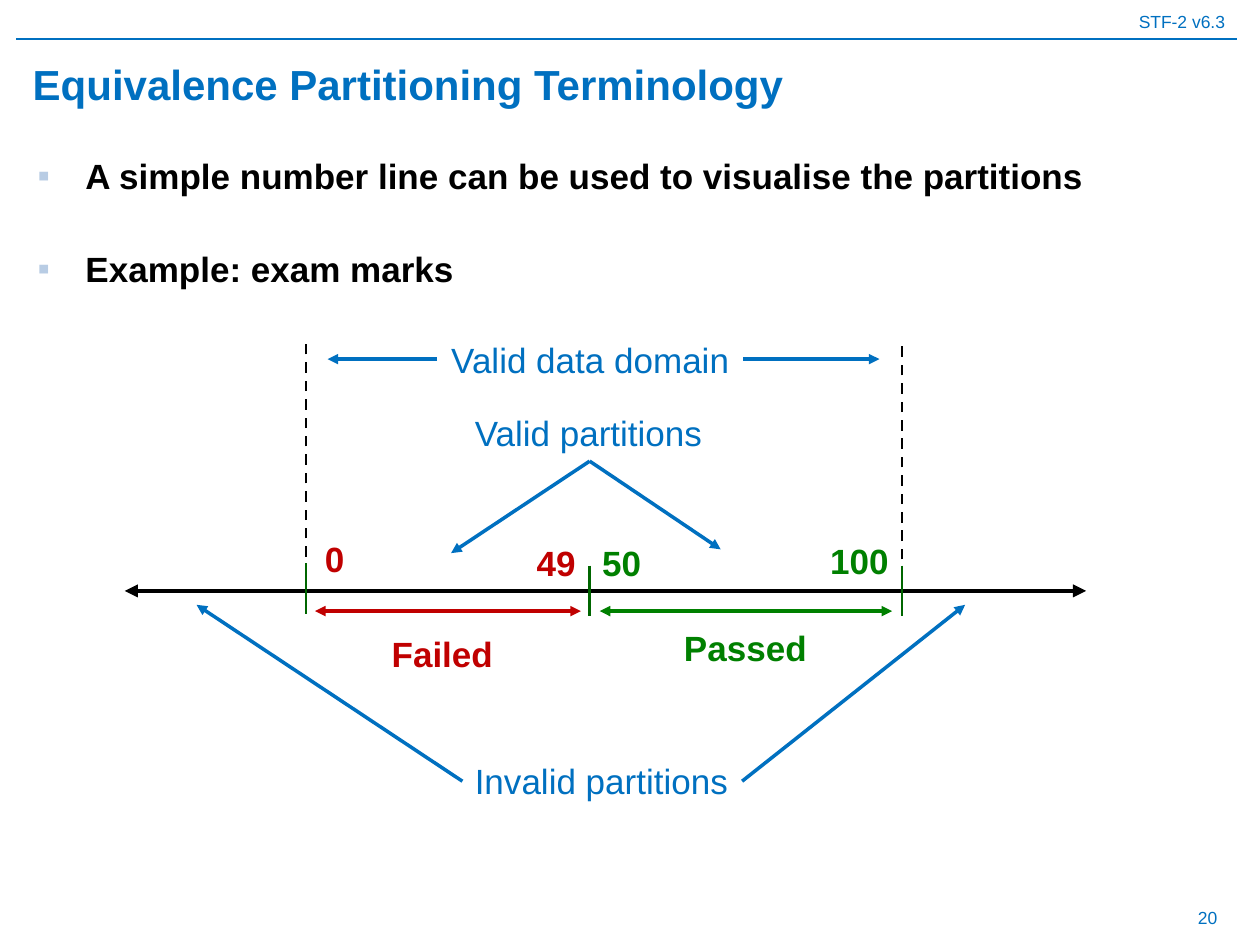
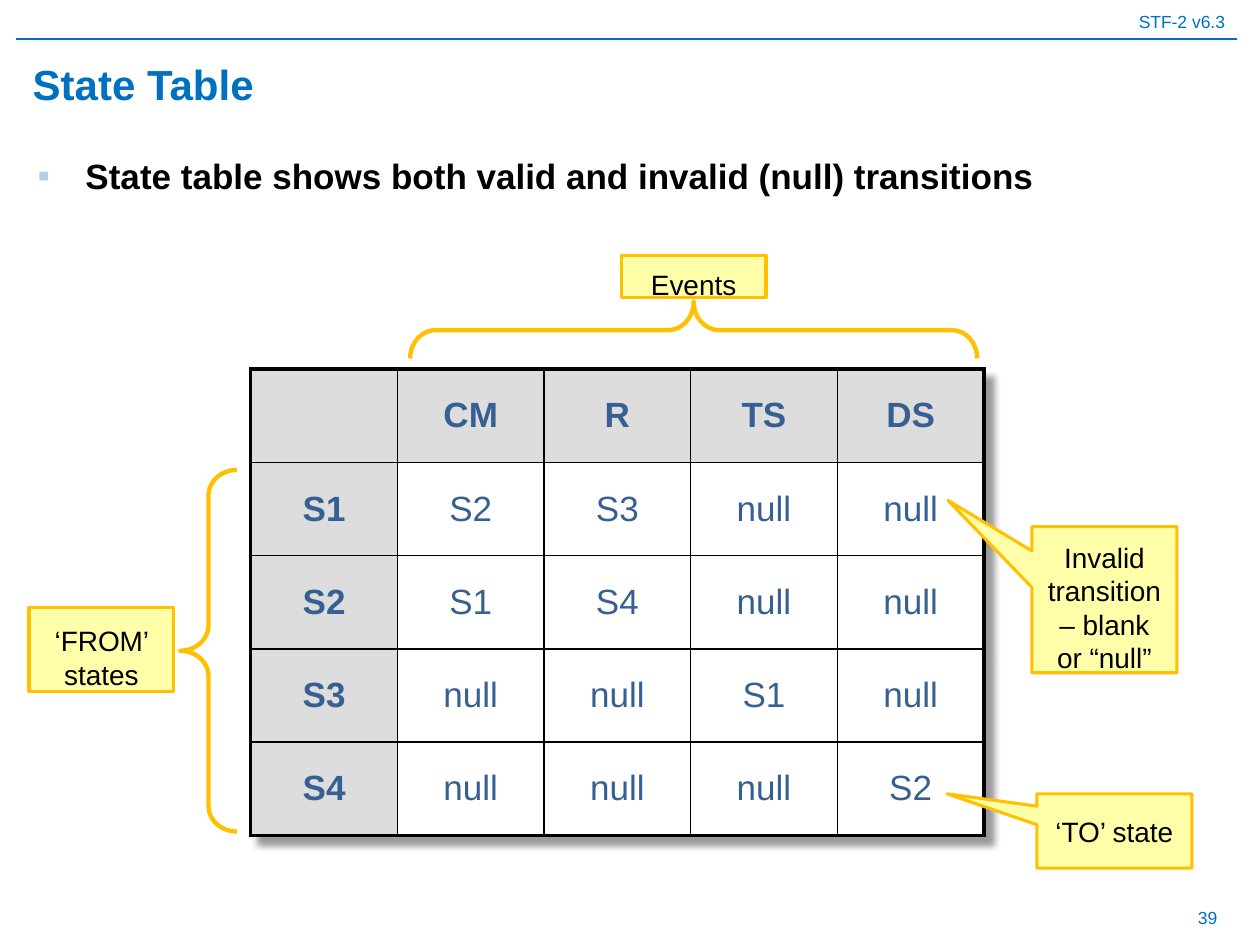
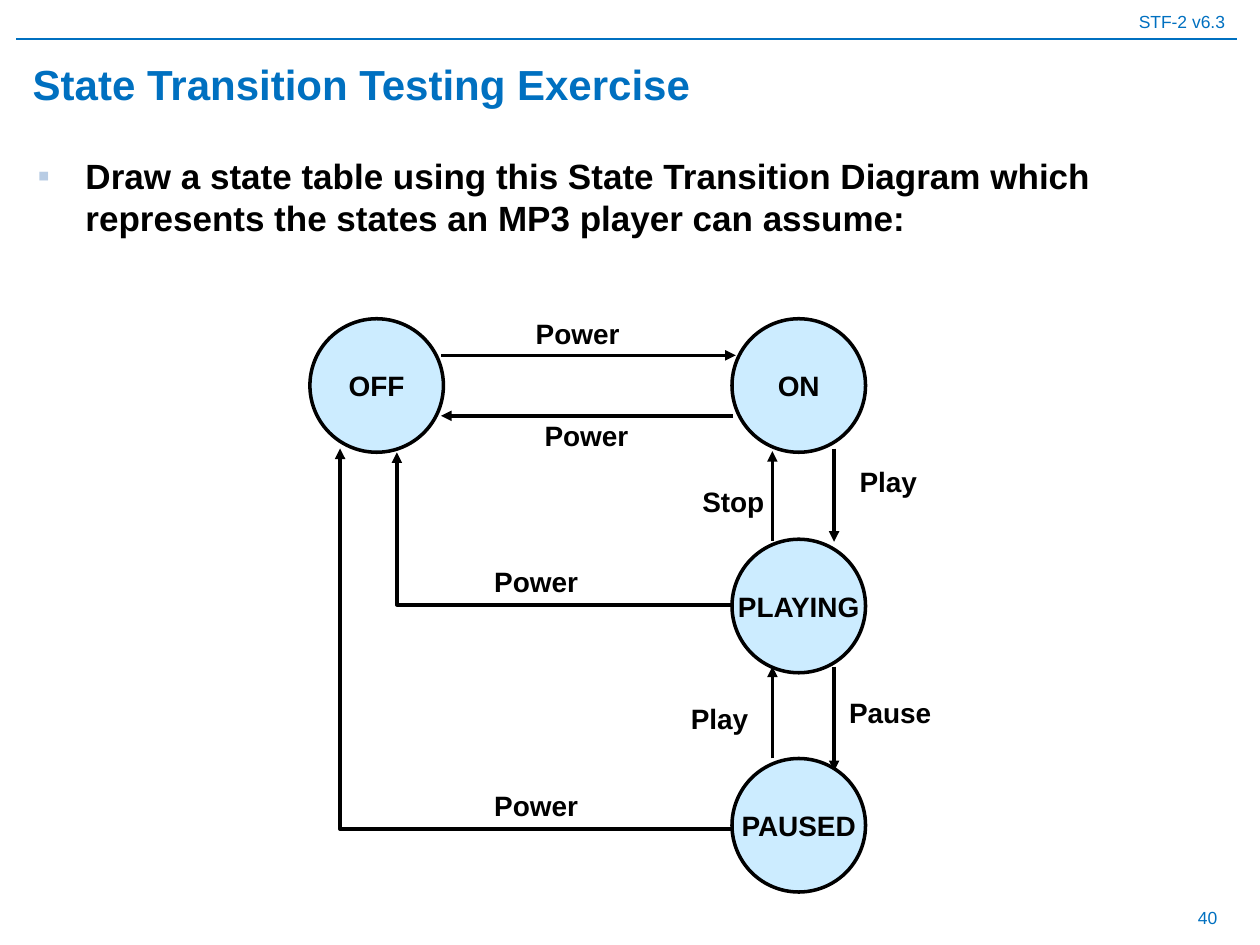
from lxml.etree import SubElement
from pptx import Presentation
from pptx.dml.color import RGBColor
from pptx.enum.dml import MSO_LINE
from pptx.enum.shapes import MSO_CONNECTOR, MSO_SHAPE
from pptx.enum.text import MSO_ANCHOR, PP_ALIGN
from pptx.oxml import parse_xml
from pptx.oxml.ns import nsdecls, qn
from pptx.util import Emu, Inches, Pt

FONT = "Arial"
BLUE = RGBColor(0x00, 0x70, 0xC0)
BLACK = RGBColor(0x00, 0x00, 0x00)
WHITE = RGBColor(0xFF, 0xFF, 0xFF)
RED = RGBColor(0xC0, 0x00, 0x00)
GREEN = RGBColor(0x00, 0x80, 0x00)
DARK_GREEN = RGBColor(0x00, 0x66, 0x00)
AMBER = RGBColor(0xFF, 0xC0, 0x00)
PALE_YELLOW = RGBColor(0xFF, 0xFF, 0xAA)
PALE_BLUE = RGBColor(0xCC, 0xEC, 0xFF)
GREY = RGBColor(0xDD, 0xDD, 0xDD)
TABLE_TEXT = RGBColor(0x37, 0x60, 0x92)
BULLET = "B8CCE4"
NO_STYLE = "{2D5ABB26-0587-4C30-8999-92F81FD0307C}"
STATE_SIZE = 1.06

STATE_TABLE = [
    ["", "CM", "R", "TS", "DS"],
    ["S1", "S2", "S3", "null", "null"],
    ["S2", "S1", "S4", "null", "null"],
    ["S3", "null", "null", "S1", "null"],
    ["S4", "null", "null", "null", "S2"],
]


def add_run(p, text, size, color, bold=False):
    """Add one formatted run to a paragraph."""
    r = p.add_run()
    r.text = text
    r.font.name = FONT
    r.font.size = Pt(size)
    r.font.bold = bold
    r.font.color.rgb = color


def add_label(s, text, left, top, width, height=0.44, size=20, color=BLUE,
              bold=False, align=PP_ALIGN.LEFT, anchor=MSO_ANCHOR.TOP, wrap=False):
    """Add a one-line text box."""
    tb = s.shapes.add_textbox(Inches(left), Inches(top), Inches(width), Inches(height))
    tf = tb.text_frame
    tf.word_wrap = wrap
    tf.vertical_anchor = anchor
    p = tf.paragraphs[0]
    p.alignment = align
    add_run(p, text, size, color, bold)


def add_line(s, start, end, color=BLACK, width=2, head=False, tail=False,
             dashed=False, elbow=False):
    """Add a straight or elbow connector with optional arrowheads."""
    kind = MSO_CONNECTOR.ELBOW if elbow else MSO_CONNECTOR.STRAIGHT
    c = s.shapes.add_connector(kind, *(Inches(v) for v in (*start, *end)))
    c.line.color.rgb = color
    c.line.width = Pt(width)
    if dashed:
        c.line.dash_style = MSO_LINE.DASH
    spPr = c.element.spPr
    ln = spPr.find(qn("a:ln"))
    for tag, wanted in (("a:headEnd", head), ("a:tailEnd", tail)):
        if wanted:
            SubElement(ln, qn(tag), type="triangle")
    SubElement(spPr, qn("a:effectLst"))
    if elbow:
        geom = spPr.find(qn("a:prstGeom"))
        av = geom.find(qn("a:avLst"))
        if av is None:
            av = SubElement(geom, qn("a:avLst"))
        SubElement(av, qn("a:gd"), name="adj1", fmla="val 100000")


def add_box(s, kind, left, top, width, height, line, weight, fill=None, adj=()):
    """Add a preset shape with its outline, fill and adjustments."""
    sp = s.shapes.add_shape(kind, Inches(left), Inches(top), Inches(width), Inches(height))
    sp.shadow.inherit = False
    if fill is None:
        sp.fill.background()
    else:
        sp.fill.solid()
        sp.fill.fore_color.rgb = fill
    sp.line.color.rgb = line
    sp.line.width = Pt(weight)
    for i, value in enumerate(adj):
        sp.adjustments[i] = value
    return sp


def set_centred_text(sp, text, bold=False, wrap=True):
    """Write centred black text in a shape."""
    tf = sp.text_frame
    tf.word_wrap = wrap
    tf.vertical_anchor = MSO_ANCHOR.MIDDLE
    p = tf.paragraphs[0]
    p.alignment = PP_ALIGN.CENTER
    add_run(p, text, 16, BLACK, bold)


def add_note(s, text, left, top, width, height, pointer=None, lowered=True):
    """Add a yellow note, as a callout when it has a pointer."""
    kind = MSO_SHAPE.RECTANGULAR_CALLOUT if pointer else MSO_SHAPE.RECTANGLE
    sp = add_box(s, kind, left, top, width, height, AMBER, 1.75, PALE_YELLOW, pointer or ())
    if lowered:
        sp.text_frame.margin_top = Inches(0.12)
        sp.text_frame.margin_bottom = 0
    set_centred_text(sp, text)


def add_brace(s, left, top, width, height, rotation=0):
    """Add an amber brace."""
    sp = add_box(s, MSO_SHAPE.LEFT_BRACE, left, top, width, height, AMBER, 2.5,
                 adj=(0.45, 0.5))
    sp.rotation = rotation


def add_bullets(s, items):
    """Add the bold bulleted body text."""
    tb = s.shapes.add_textbox(Inches(0.2), Inches(1.18), Inches(9.65), Inches(5.91))
    tf = tb.text_frame
    tf.word_wrap = True
    for i, text in enumerate(items):
        p = tf.add_paragraph() if i else tf.paragraphs[0]
        p.space_before = Pt(29 if i else 0)
        pPr = p._p.get_or_add_pPr()
        pPr.set("marL", str(Inches(0.38)))
        pPr.set("indent", str(-Inches(0.38)))
        color = SubElement(pPr, qn("a:buClr"))
        SubElement(color, qn("a:srgbClr"), val=BULLET)
        SubElement(pPr, qn("a:buFont"), typeface=FONT)
        SubElement(pPr, qn("a:buChar"), char="▪")
        add_run(p, text, 20, BLACK, True)


def add_slide(prs, title, number, bullets):
    """Add a slide with header, title, body text and page number."""
    s = prs.slides.add_slide(prs.slide_layouts[5])
    add_label(s, "STF-2 v6.3", 0, 0.04, 9.82, 0.27, 10, align=PP_ALIGN.RIGHT, wrap=True)
    add_line(s, (0.13, 0.31), (9.82, 0.31), BLUE, 0.75)
    add_label(s, str(number), 7.43, 7.09, 2.33, 0.39, 10, align=PP_ALIGN.RIGHT,
              anchor=MSO_ANCHOR.MIDDLE, wrap=True)
    add_bullets(s, bullets)
    sp = s.shapes.title
    sp.left, sp.top, sp.width, sp.height = (Inches(v) for v in (0.16, 0.39, 9.61, 0.55))
    sp.text_frame.vertical_anchor = MSO_ANCHOR.MIDDLE
    p = sp.text_frame.paragraphs[0]
    p.alignment = PP_ALIGN.LEFT
    add_run(p, title, 24, BLUE, True)
    return s


def set_borders(cell, weights):
    """Set black left, right, top and bottom borders of a cell."""
    tcPr = cell._tc.get_or_add_tcPr()
    for i, (side, weight) in enumerate(zip("LRTB", weights)):
        tcPr.insert(i, parse_xml(
            f'<a:ln{side} {nsdecls("a")} w="{Pt(weight)}"><a:solidFill>'
            f'<a:srgbClr val="{BLACK}"/></a:solidFill></a:ln{side}>'))


def add_state_table(s, rows, left, top, width, height):
    """Add the state table with a heavy frame and a shadow."""
    n = len(rows)
    tbl = s.shapes.add_table(n, n, Inches(left), Inches(top),
                             Inches(width), Inches(height)).table
    tbl.first_row = tbl.horz_banding = False
    tblPr = tbl._tbl.tblPr
    tblPr.find(qn("a:tableStyleId")).text = NO_STYLE
    tblPr.insert(0, parse_xml(
        f'<a:effectLst {nsdecls("a")}><a:outerShdw blurRad="50800" dist="88900" '
        'dir="2700000" algn="tl" rotWithShape="0"><a:prstClr val="black">'
        '<a:alpha val="40000"/></a:prstClr></a:outerShdw></a:effectLst>'))
    for i, row in enumerate(rows):
        tbl.rows[i].height = Emu(Inches(height) // n)
        tbl.columns[i].width = Emu(Inches(width) // n)
        for j, text in enumerate(row):
            cell = tbl.cell(i, j)
            heading = i == 0 or j == 0
            cell.fill.solid()
            cell.fill.fore_color.rgb = GREY if heading else WHITE
            cell.vertical_anchor = MSO_ANCHOR.MIDDLE
            edges = (j == 0, j == n - 1, i == 0, i == n - 1)
            set_borders(cell, [2.25 if edge else 1 for edge in edges])
            p = cell.text_frame.paragraphs[0]
            p.alignment = PP_ALIGN.CENTER
            if text:
                add_run(p, text, 20, TABLE_TEXT, heading)


def build_partitioning(prs):
    """Build the number line of valid and invalid partitions."""
    s = add_slide(prs, "Equivalence Partitioning Terminology", 20,
                  ["A simple number line can be used to visualise the partitions",
                   "Example: exam marks"])
    add_line(s, (0.99, 4.69), (8.62, 4.69), width=2.5, head=True, tail=True)
    for x, top in ((2.43, 4.47), (4.68, 4.49), (7.16, 4.49)):
        add_line(s, (x, top), (x, top + 0.4), DARK_GREEN, 1.5)
    for x, bottom, top in ((2.43, 4.42, 2.68), (7.16, 4.44, 2.71)):
        add_line(s, (x, bottom), (x, top), width=1.5, dashed=True)
    for x1, x2, color in ((2.5, 4.61, RED), (4.76, 7.08, GREEN)):
        add_line(s, (x1, 4.85), (x2, 4.85), color, head=True, tail=True)
    for start, end in (((3.47, 2.85), (2.6, 2.85)), ((5.9, 2.85), (6.98, 2.85)),
                       ((4.68, 3.66), (5.72, 4.36)), ((4.68, 3.66), (3.58, 4.39)),
                       ((5.89, 6.2), (7.66, 4.8)), ((3.67, 6.2), (1.56, 4.8))):
        add_line(s, start, end, BLUE, tail=True)
    for text, left, top, width, color in (
            ("0", 2.48, 4.22, 0.36, RED), ("49", 4.16, 4.25, 0.51, RED),
            ("50", 4.68, 4.25, 0.51, GREEN), ("100", 6.49, 4.23, 0.67, GREEN),
            ("Failed", 3.01, 4.97, 1.09, RED), ("Passed", 5.33, 4.92, 1.19, GREEN)):
        add_label(s, text, left, top, width, color=color, bold=True)
    add_label(s, "Valid data domain", 3.47, 2.64, 2.43, align=PP_ALIGN.CENTER)
    add_label(s, "Valid partitions", 3.67, 3.22, 2.02)
    add_label(s, "Invalid partitions", 3.67, 5.98, 2.23)


def build_state_table(prs):
    """Build the annotated state table."""
    s = add_slide(prs, "State Table", 39,
                  ["State table shows both valid and invalid (null) transitions"])
    add_state_table(s, STATE_TABLE, 1.99, 2.93, 5.82, 3.7)
    add_brace(s, 1.43, 3.73, 0.45, 2.87)
    add_brace(s, 5.28, 0.37, 0.45, 4.5, 90)
    add_note(s, "Invalid transition – blank or “null”", 8.19, 4.18, 1.15, 1.16, (-1.08, -0.68))
    add_note(s, "‘TO’ state", 8.23, 6.3, 1.23, 0.59, (-1.08, -0.5), lowered=False)
    add_note(s, "Events", 4.93, 2.03, 1.15, 0.33)
    add_note(s, "‘FROM’ states", 0.23, 4.82, 1.15, 0.67)


def build_exercise(prs):
    """Build the state transition diagram."""
    s = add_slide(prs, "State Transition Testing Exercise", 40,
                  ["Draw a state table using this State Transition Diagram which "
                   "represents the states an MP3 player can assume:"])
    for start, end in (((6.13, 6.02), (6.13, 5.29)), ((6.62, 5.29), (6.62, 6.12)),
                       ((6.62, 3.56), (6.62, 4.3)), ((6.13, 4.29), (6.13, 3.58)),
                       ((3.5, 2.82), (5.84, 2.82)), ((5.82, 3.3), (3.5, 3.3))):
        add_line(s, start, end, tail=True)
    for start, end in (((5.8, 4.8), (3.15, 3.59)), ((5.8, 6.58), (2.7, 3.56))):
        add_line(s, start, end, tail=True, elbow=True)
    for text, left, top in (("OFF", 2.46, 2.53), ("ON", 5.81, 2.53),
                            ("PLAYING", 5.81, 4.28), ("PAUSED", 5.81, 6.02)):
        sp = add_box(s, MSO_SHAPE.OVAL, left, top, STATE_SIZE, STATE_SIZE, BLACK, 2, PALE_BLUE)
        set_centred_text(sp, text, bold=True, wrap=False)
    for text, left, top, width in (
            ("Power", 4, 2.46, 1.17), ("Power", 4.16, 3.27, 0.99),
            ("Power", 3.77, 4.43, 0.97), ("Power", 3.77, 6.21, 0.97),
            ("Stop", 5.47, 3.8, 0.7), ("Play", 6.59, 3.64, 0.92),
            ("Play", 5.32, 5.52, 0.78), ("Pause", 6.62, 5.47, 0.89)):
        add_label(s, text, left, top, width, 0.37, 16, BLACK, True, PP_ALIGN.CENTER, wrap=True)


def main():
    """Build and save the presentation."""
    prs = Presentation()
    prs.slide_width = Inches(10)
    prs.slide_height = Inches(7.5)
    build_partitioning(prs)
    build_state_table(prs)
    build_exercise(prs)
    prs.save("out.pptx")


if __name__ == "__main__":
    main()
